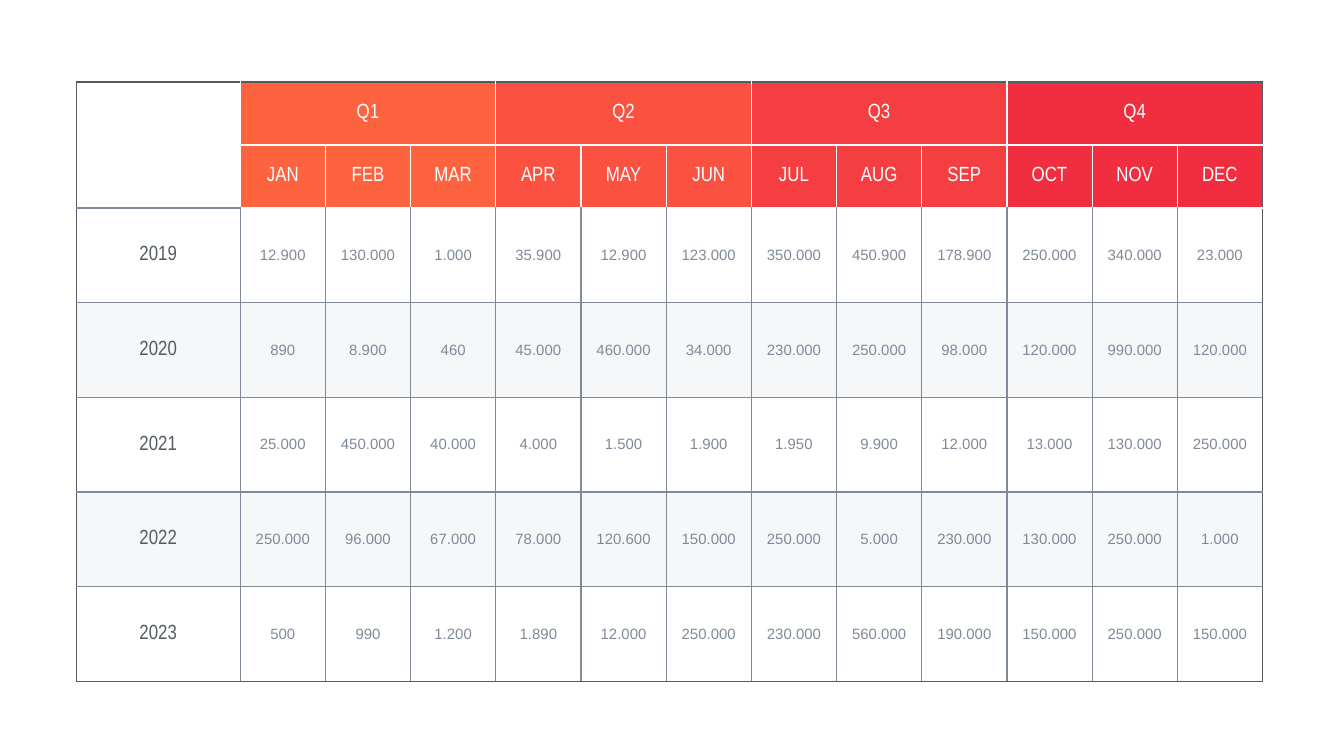
from lxml import etree
from pptx import Presentation
from pptx import util as u
from pptx.dml.color import RGBColor
from pptx.enum import text
from pptx.oxml.ns import qn

QUARTERS = [
    ("Q1", ["JAN", "FEB", "MAR"]),
    ("Q2", ["APR", "MAY", "JUN"]),
    ("Q3", ["JUL", "AUG", "SEP"]),
    ("Q4", ["OCT", "NOV", "DEC"]),
]
YEARS = {
    "2019": ["12.900", "130.000", "1.000", "35.900", "12.900", "123.000",
             "350.000", "450.900", "178.900", "250.000", "340.000", "23.000"],
    "2020": ["890", "8.900", "460", "45.000", "460.000", "34.000",
             "230.000", "250.000", "98.000", "120.000", "990.000", "120.000"],
    "2021": ["25.000", "450.000", "40.000", "4.000", "1.500", "1.900",
             "1.950", "9.900", "12.000", "13.000", "130.000", "250.000"],
    "2022": ["250.000", "96.000", "67.000", "78.000", "120.600", "150.000",
             "250.000", "5.000", "230.000", "130.000", "250.000", "1.000"],
    "2023": ["500", "990", "1.200", "1.890", "12.000", "250.000",
             "230.000", "560.000", "190.000", "150.000", "250.000", "150.000"],
}
COLORS = {
    "Q1": "FE6340", "Q2": "FA5140", "Q3": "F53E42", "Q4": "F12E40",
    "white": "FFFFFF", "band": "EEF0F4", "frame": "545B63", "grid": "7F8998",
}
# font name, size, colour
FONTS = {
    "heading": ("Arial Narrow", 11, "white"),
    "year": ("Arial Narrow", 11, "frame"),
    "value": ("Arial", 8, "grid"),
}
CELL_FORMAT = {
    "vertical_anchor": text.MSO_ANCHOR.MIDDLE,
    "margin_left": u.Cm(0.1), "margin_right": u.Cm(0.1),
    "margin_top": u.Cm(0.05), "margin_bottom": u.Cm(0.05),
}
LEFT, TOP = 1.44, 1.55
HEADER_ROWS = 2
COLUMN_WIDTHS = [3.1] + [1.61] * 12
ROW_HEIGHTS = [1.19] * HEADER_ROWS + [1.79] * len(YEARS)
LAST_ROW, LAST_COLUMN = len(ROW_HEIGHTS) - 1, len(COLUMN_WIDTHS) - 1


def edge_colors(top, left, bottom, right):
    """Colours of the four edges of an area of cells, in schema order."""
    heading = top < HEADER_ROWS and left > 0
    corner = top == left == 0
    below_heading = top == HEADER_ROWS and left > 0
    edges = {
        "L": (left == 0, heading),
        "R": (right == LAST_COLUMN, heading or corner),
        "T": (top == 0, heading or below_heading),
        "B": (bottom == LAST_ROW, heading),
    }
    return {side: "frame" if outer else "white" if white else "grid"
            for side, (outer, white) in edges.items()}


def draw_borders(cell, colors):
    properties = cell._tc.get_or_add_tcPr()
    for side, color in colors.items():
        line = etree.SubElement(properties, qn(f"a:ln{side}"), w=str(u.Pt(0.75)))
        fill = etree.SubElement(line, qn("a:solidFill"))
        etree.SubElement(fill, qn("a:srgbClr"), val=COLORS[color])


def fill_cell(cell, color, opacity):
    if color is None:
        cell.fill.background()
        return
    cell.fill.solid()
    cell.fill.fore_color.rgb = RGBColor.from_string(COLORS[color])
    if opacity < 100:
        shade = cell._tc.tcPr.find(f"{qn('a:solidFill')}/{qn('a:srgbClr')}")
        etree.SubElement(shade, qn("a:alpha"), val=str(opacity * 1000))


def write(cell, words, style):
    name, size, color = FONTS[style]
    paragraph = cell.text_frame.paragraphs[0]
    paragraph.alignment = text.PP_ALIGN.CENTER
    run = paragraph.add_run()
    run.text = words
    run.font.name, run.font.size = name, u.Pt(size)
    run.font.color.rgb = RGBColor.from_string(COLORS[color])


def add_area(table, words, style, top, left, rows=1, columns=1, color=None, opacity=100):
    """Format one cell, or a merged block of cells, and write its words."""
    bottom, right = top + rows - 1, left + columns - 1
    first = table.cell(top, left)
    if rows * columns > 1:
        first.merge(table.cell(bottom, right))
    borders = edge_colors(top, left, bottom, right)
    for row in range(top, bottom + 1):
        for column in range(left, right + 1):
            cell = table.cell(row, column)
            for key, value in CELL_FORMAT.items():
                setattr(cell, key, value)
            draw_borders(cell, borders)
            fill_cell(cell, color, opacity)
    if words:
        write(first, words, style)


def main():
    deck = Presentation()
    deck.slide_width, deck.slide_height = u.Cm(25.4), u.Cm(14.29)
    slide = deck.slides.add_slide(deck.slide_layouts[6])
    table = slide.shapes.add_table(
        len(ROW_HEIGHTS), len(COLUMN_WIDTHS), u.Cm(LEFT), u.Cm(TOP),
        u.Cm(sum(COLUMN_WIDTHS)), u.Cm(sum(ROW_HEIGHTS))).table
    table.first_row = table.horz_banding = False
    for column, width in zip(table.columns, COLUMN_WIDTHS):
        column.width = u.Cm(width)
    for row, height in zip(table.rows, ROW_HEIGHTS):
        row.height = u.Cm(height)

    add_area(table, "", "heading", 0, 0, rows=HEADER_ROWS)
    for number, (quarter, months) in enumerate(QUARTERS):
        start = 1 + number * len(months)
        add_area(table, quarter, "heading", 0, start, columns=len(months), color=quarter)
        for column, month in enumerate(months, start):
            add_area(table, month, "heading", 1, column, color=quarter)

    for row, (year, values) in enumerate(YEARS.items(), HEADER_ROWS):
        banded = (row - HEADER_ROWS) % 2 == 1
        look = {"color": "band" if banded else "white",
                "opacity": 50 if banded or row == LAST_ROW else 100}
        add_area(table, year, "year", row, 0, **look)
        for column, value in enumerate(values, 1):
            add_area(table, value, "value", row, column, **look)

    deck.save("out.pptx")


if __name__ == "__main__":
    main()
